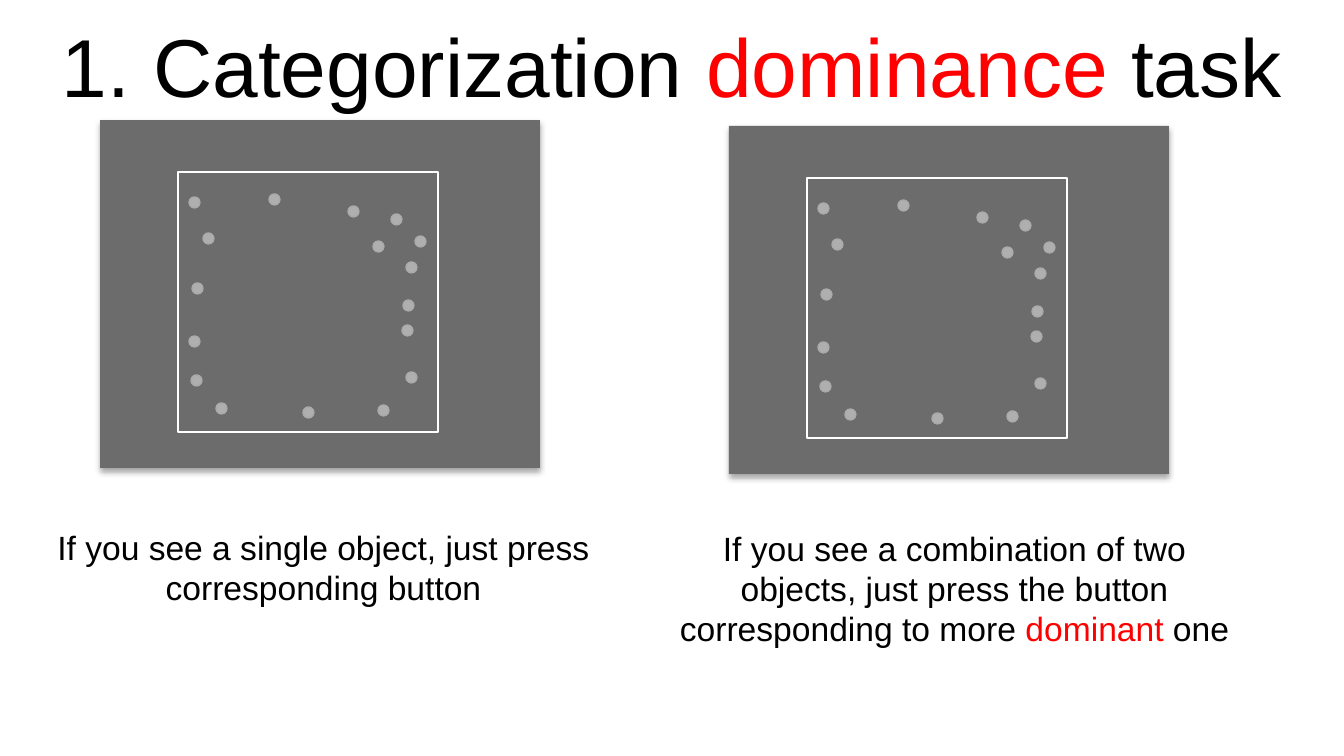
from lxml import etree
from pptx import Presentation
from pptx.dml.color import RGBColor
from pptx.enum.shapes import MSO_SHAPE
from pptx.enum.text import MSO_ANCHOR, PP_ALIGN
from pptx.oxml.ns import qn
from pptx.util import Emu, Pt

RECTANGLE, OVAL = MSO_SHAPE.RECTANGLE, MSO_SHAPE.OVAL
CENTER, MIDDLE = PP_ALIGN.CENTER, MSO_ANCHOR.MIDDLE

EMU_PER_PX = 914400 / 134.4
FONT = "Arial"
COLORS = {
    "text": "000000",
    "accent": "FF0000",
    "panel": "6C6C6C",
    "frame": "FFFFFF",
    "dot": "AFAFAF",
    "dot_line": "AAAAAA",
    "shadow": "000000",
}

PANEL_SIZE = (440, 348)
FRAME_OFFSET = (78, 52)
FRAME_SIDE = 260
DOT_SIZE = 11
# Dot centres, measured from the panel's top left corner
DOT_CENTERS = [
    (94, 82), (253, 91), (108, 118), (97, 168), (174, 79), (96, 260),
    (94, 221), (208, 292), (283, 290), (296, 99), (307, 210), (311, 147),
    (311, 257), (121, 288), (278, 126), (320, 121), (308, 185),
]


def px(length):
    return Emu(round(length * EMU_PER_PX))


def color(name):
    return RGBColor.from_string(COLORS[name])


def write_spans(frame, spans, size):
    """Write one centred paragraph from (text, colour name) pairs."""
    frame.word_wrap = True
    para = frame.paragraphs[0]
    para.alignment = CENTER
    for text, color_name in spans:
        span = para.add_run()
        span.text = text
        span.font.name = FONT
        span.font.size = Pt(size)
        span.font.color.rgb = color(color_name)


def add_title(page, spans):
    title = page.shapes.title
    title.left, title.top, title.width, title.height = map(px, (0, 0, 1344, 129))
    title.text_frame.vertical_anchor = MIDDLE
    write_spans(title.text_frame, spans, 44)


def add_caption(page, left, top, height, spans):
    box = page.shapes.add_textbox(*map(px, (left, top, 609, height)))
    write_spans(box.text_frame, spans, 18)


def add_figure(group, kind, left, top, width, height, fill=None, line=None):
    shape = group.shapes.add_shape(kind, *map(px, (left, top, width, height)))
    shape.shadow.inherit = False
    if fill:
        shape.fill.solid()
        shape.fill.fore_color.rgb = color(fill)
    else:
        shape.fill.background()
    if line:
        shape.line.color.rgb = color(line)
        shape.line.width = Pt(0.75)
    else:
        shape.line.fill.background()
    return shape


def add_shadow(shape):
    effects = shape.element.spPr.find(qn("a:effectLst"))
    shadow = etree.SubElement(
        effects, qn("a:outerShdw"), blurRad=str(Pt(3.1)), dist=str(Pt(1.8)),
        dir="5400000", algn="t", rotWithShape="0")
    tint = etree.SubElement(shadow, qn("a:srgbClr"), val=COLORS["shadow"])
    etree.SubElement(tint, qn("a:alpha"), val="35000")


def add_dot_panel(page, left, top):
    group = page.shapes.add_group_shape()
    panel = add_figure(group, RECTANGLE, left, top, *PANEL_SIZE, fill="panel")
    add_shadow(panel)
    add_figure(group, RECTANGLE, left + FRAME_OFFSET[0], top + FRAME_OFFSET[1],
               FRAME_SIDE, FRAME_SIDE, line="frame")
    for x, y in DOT_CENTERS:
        add_figure(group, OVAL, left + x - DOT_SIZE // 2, top + y - DOT_SIZE // 2,
                   DOT_SIZE, DOT_SIZE, fill="dot", line="dot_line")


def main():
    deck = Presentation()
    deck.slide_width, deck.slide_height = px(1344), px(756)
    page = deck.slides.add_slide(deck.slide_layouts[5])

    add_title(page, [("1. Categorization ", "text"), ("dominance", "accent"),
                     (" task", "text")])

    # Stimulus panels
    for left, top in [(100, 120), (729, 126)]:
        add_dot_panel(page, left, top)

    # Instructions under the panels
    add_caption(page, 19, 520, 95, [
        ("If you see a single object, just press corresponding button", "text")])
    add_caption(page, 650, 521, 136, [
        ("If you see a combination of two objects, just press the button "
         "corresponding to more ", "text"),
        ("dominant", "accent"), (" one", "text")])

    deck.save("out.pptx")


if __name__ == "__main__":
    main()
